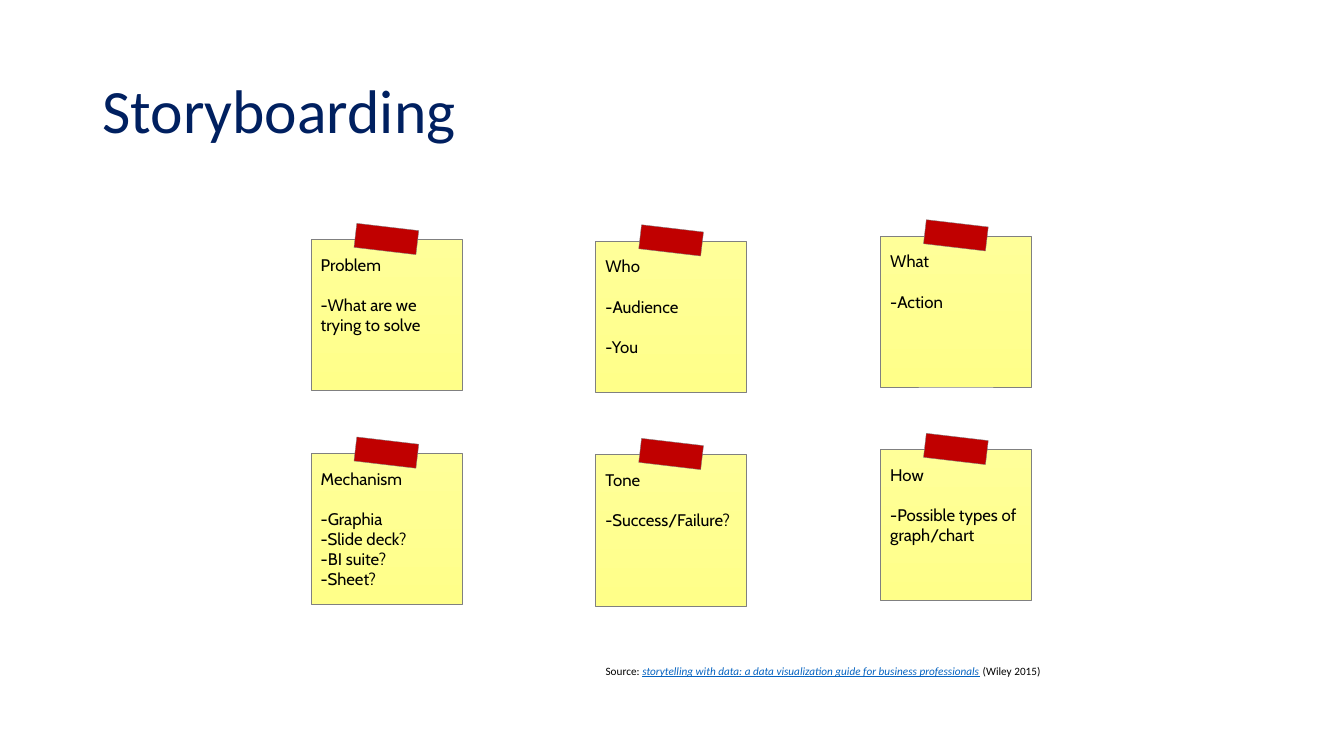
import pptx
import pptx.dml.color
import pptx.enum.dml
import pptx.enum.shapes
import pptx.enum.text
import pptx.util

Pt = pptx.util.Pt
ANCHOR = pptx.enum.text.MSO_ANCHOR
RECTANGLE = pptx.enum.shapes.MSO_SHAPE.RECTANGLE

# Content: each note is a heading and groups of lines, a gap before each group
TITLE = "Storyboarding"
NOTE_ROWS = [
    [
        ("Problem", [["-What are we trying to solve"]]),
        ("Who", [["-Audience"], ["-You"]]),
        ("What", [["-Action"]]),
    ],
    [
        ("Mechanism", [["-Graphia", "-Slide deck?", "-BI suite?", "-Sheet?"]]),
        ("Tone", [["-Success/Failure?"]]),
        ("How", [["-Possible types of graph/chart"]]),
    ],
]
SOURCE = [
    ("Source: ", {}),
    ("storytelling with data: a data visualization guide for business professionals",
     {"color": "0563C1", "italic": True, "underline": True}),
    (" (Wiley 2015)", {}),
]

# Formats
TITLE_FONT = {"name": "Calibri", "size": Pt(44), "color": "002060"}
NOTE_FONT = {"name": "Cabin", "size": Pt(12), "color": "000000"}
SOURCE_FONT = {"name": "Calibri", "size": Pt(8), "color": "000000"}
NOTE_FRAME = {"word_wrap": True, "vertical_anchor": ANCHOR.TOP,
              "margin_left": Pt(7.2), "margin_right": Pt(7.2),
              "margin_top": Pt(10.8), "margin_bottom": Pt(3.6)}
NOTE_COLORS = ["FFFF99", "FFFF89"]
TAPE_COLOR = "C00000"
EDGE_COLOR = "808080"

# Layout in points
NOTE_LEFT, COLUMN_STEP, ROW_STEP = 222, 203.4, 152.6
COLUMN_TOPS = [171.1, 172.1, 168.5]
NOTE_SIDE = 108
TAPE_DX, TAPE_DY, TAPE_WIDTH, TAPE_HEIGHT = 31.7, -9, 44.6, 17.3
TAPE_ANGLE = 6.7
LINE_GAP = 14.4


def rgb(hex_color):
    return pptx.dml.color.RGBColor.from_string(hex_color)


def set_all(target, values):
    for key, value in values.items():
        if key == "color":
            target.color.rgb = rgb(value)
        else:
            setattr(target, key, value)


def add_text(paragraph, text, font):
    run = paragraph.add_run()
    run.text = text
    set_all(run.font, font)


def add_rectangle(group, left, top, width, height):
    rectangle = group.shapes.add_shape(RECTANGLE, Pt(left), Pt(top), Pt(width), Pt(height))
    rectangle.shadow.inherit = False
    rectangle.line.color.rgb = rgb(EDGE_COLOR)
    rectangle.line.width = Pt(0.25)
    return rectangle


def add_note(slide, left, top, heading, line_groups):
    group = slide.shapes.add_group_shape()
    note = add_rectangle(group, left, top, NOTE_SIDE, NOTE_SIDE)
    note.fill.gradient()
    note.fill.gradient_angle = 270
    for stop, color in zip(note.fill.gradient_stops, NOTE_COLORS):
        stop.color.rgb = rgb(color)

    frame = note.text_frame
    set_all(frame, NOTE_FRAME)
    paragraph = frame.paragraphs[0]
    paragraph.alignment = pptx.enum.text.PP_ALIGN.LEFT
    add_text(paragraph, heading, NOTE_FONT)
    for lines in line_groups:
        for index, line in enumerate(lines):
            paragraph = frame.add_paragraph()
            paragraph.alignment = pptx.enum.text.PP_ALIGN.LEFT
            paragraph.space_before = Pt(0 if index else LINE_GAP)
            add_text(paragraph, line, NOTE_FONT)

    tape = add_rectangle(group, left + TAPE_DX, top + TAPE_DY, TAPE_WIDTH, TAPE_HEIGHT)
    tape.fill.solid()
    tape.fill.fore_color.rgb = rgb(TAPE_COLOR)
    tape.rotation = TAPE_ANGLE


def main():
    deck = pptx.Presentation()
    deck.slide_width, deck.slide_height = Pt(960), Pt(540)
    slide = deck.slides.add_slide(deck.slide_layouts[6])

    # Title
    title = slide.shapes.add_textbox(Pt(66), Pt(28.8), Pt(828), Pt(104.4)).text_frame
    set_all(title, {"word_wrap": True, "vertical_anchor": ANCHOR.MIDDLE})
    title.paragraphs[0].line_spacing = 0.9
    add_text(title.paragraphs[0], TITLE, TITLE_FONT)

    # Taped notes
    for row, notes in enumerate(NOTE_ROWS):
        for column, (heading, line_groups) in enumerate(notes):
            add_note(slide, NOTE_LEFT + column * COLUMN_STEP,
                     COLUMN_TOPS[column] + row * ROW_STEP, heading, line_groups)

    # Source line
    source = slide.shapes.add_textbox(Pt(425.5), Pt(470.9), Pt(333.4), Pt(17)).text_frame
    source.word_wrap = True
    for text, emphasis in SOURCE:
        add_text(source.paragraphs[0], text, {**SOURCE_FONT, **emphasis})

    deck.save("out.pptx")


if __name__ == "__main__":
    main()
